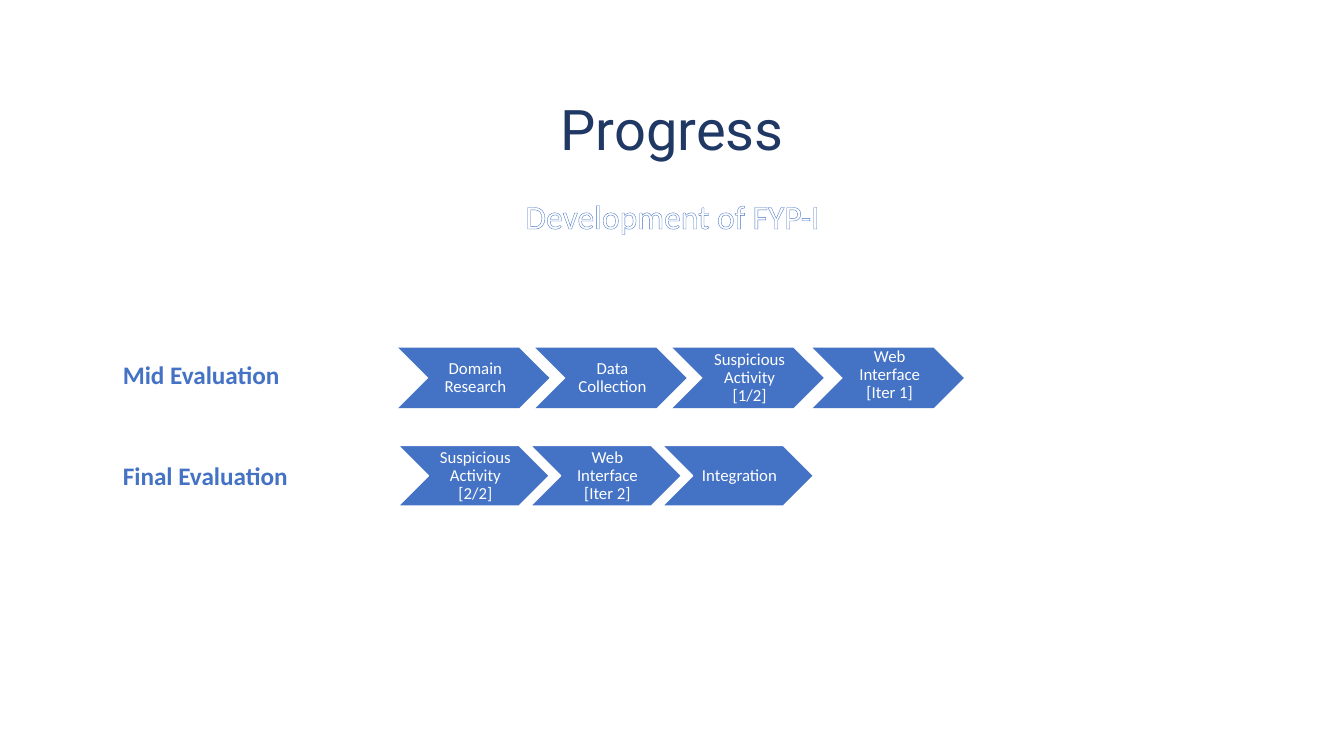
from lxml import etree
from pptx import Presentation
from pptx.dml.color import RGBColor
from pptx.enum.shapes import MSO_SHAPE
from pptx.enum.text import MSO_ANCHOR, MSO_AUTO_SIZE, PP_ALIGN
from pptx.oxml.ns import qn
from pptx.util import Inches, Pt

CHEVRON = MSO_SHAPE.CHEVRON
MIDDLE = MSO_ANCHOR.MIDDLE
NO_AUTOFIT = MSO_AUTO_SIZE.NONE
CENTER, LEFT = PP_ALIGN.CENTER, PP_ALIGN.LEFT

NAVY, BLUE, WHITE = "203864", "4472C4", "FFFFFF"
TITLE_FONT, BODY_FONT = "Roboto", "Calibri"


def color(hex_text):
    return RGBColor.from_string(hex_text)


class ProgressSlide:
    """Holds the slide and draws its elements in one style."""

    def __init__(self, presentation):
        self.slide = presentation.slides.add_slide(presentation.slide_layouts[5])

    def set_text(self, frame, text, size, hex_text, font=BODY_FONT, align=CENTER,
                 bold=False, spacing=None):
        """Fill a text frame with one formatted paragraph and return it."""
        frame.word_wrap = True
        paragraph = frame.paragraphs[0]
        paragraph.text = text
        paragraph.alignment = align
        paragraph.line_spacing = spacing
        paragraph.font.name = font
        paragraph.font.size = Pt(size)
        paragraph.font.bold = bold
        paragraph.font.color.rgb = color(hex_text)
        return paragraph

    def title(self, text, left, top, width, height):
        shape = self.slide.shapes.title
        shape.left, shape.top = Inches(left), Inches(top)
        shape.width, shape.height = Inches(width), Inches(height)
        frame = shape.text_frame
        frame.auto_size = NO_AUTOFIT
        frame.vertical_anchor = MIDDLE
        self.set_text(frame, text, 40, NAVY, TITLE_FONT, spacing=0.9)

    def text_box(self, text, left, top, width, height, size, hex_text, **style):
        box = self.slide.shapes.add_textbox(
            Inches(left), Inches(top), Inches(width), Inches(height))
        return self.set_text(box.text_frame, text, size, hex_text, **style)

    def outlined_text(self, text, left, top, width, height):
        """Add white text whose letters have a thin blue outline."""
        paragraph = self.text_box(text, left, top, width, height, 24, WHITE)
        run = paragraph.runs[0]
        run.font.color.rgb = color(WHITE)
        line = etree.Element(qn("a:ln"), w=str(Pt(0.75)))
        fill = etree.SubElement(line, qn("a:solidFill"))
        etree.SubElement(fill, qn("a:srgbClr"), val=BLUE)
        run._r.get_or_add_rPr().insert(0, line)

    def chevron(self, text, left, top, outlined, bottom_inset=0.02):
        shape = self.slide.shapes.add_shape(
            CHEVRON, Inches(left), Inches(top), Inches(1.5), Inches(0.6))
        shape.shadow.inherit = False
        shape.fill.solid()
        shape.fill.fore_color.rgb = color(BLUE)
        if outlined:
            shape.line.color.rgb = color(WHITE)
            shape.line.width = Pt(1)
        else:
            shape.line.fill.background()
        frame = shape.text_frame
        frame.vertical_anchor = MIDDLE
        frame.margin_left = Inches(0.05)
        frame.margin_top = frame.margin_right = Inches(0.02)
        frame.margin_bottom = Inches(bottom_inset)
        self.set_text(frame, text, 12, WHITE, spacing=0.9)


def main():
    presentation = Presentation()
    presentation.slide_width = Inches(13.33)
    presentation.slide_height = Inches(7.5)

    progress = ProgressSlide(presentation)
    progress.title("Progress", 3.25, 1.03, 6.83, 0.56)
    progress.outlined_text("Development of FYP-I", 4.17, 1.89, 5, 0.5)

    for label, top in (("Mid Evaluation", 3.52), ("Final Evaluation", 4.52)):
        progress.text_box(label, 1.12, top, 2.46, 0.4, 18, BLUE, align=LEFT, bold=True)

    mid_steps = ("Domain Research", "Data Collection", "Suspicious Activity [1/2]")
    for index, step in enumerate(mid_steps):
        progress.chevron(step, 3.95 + 1.36 * index, 3.45, outlined=False)
    progress.chevron("Web Interface [Iter 1]", 8.06, 3.45, outlined=False,
                     bottom_inset=0.08)

    final_steps = ("Suspicious Activity [2/2]", "Web Interface [Iter 2]", "Integration")
    for index, step in enumerate(final_steps):
        progress.chevron(step, 3.95 + 1.31 * index, 4.42, outlined=True)

    presentation.save("out.pptx")


if __name__ == "__main__":
    main()
